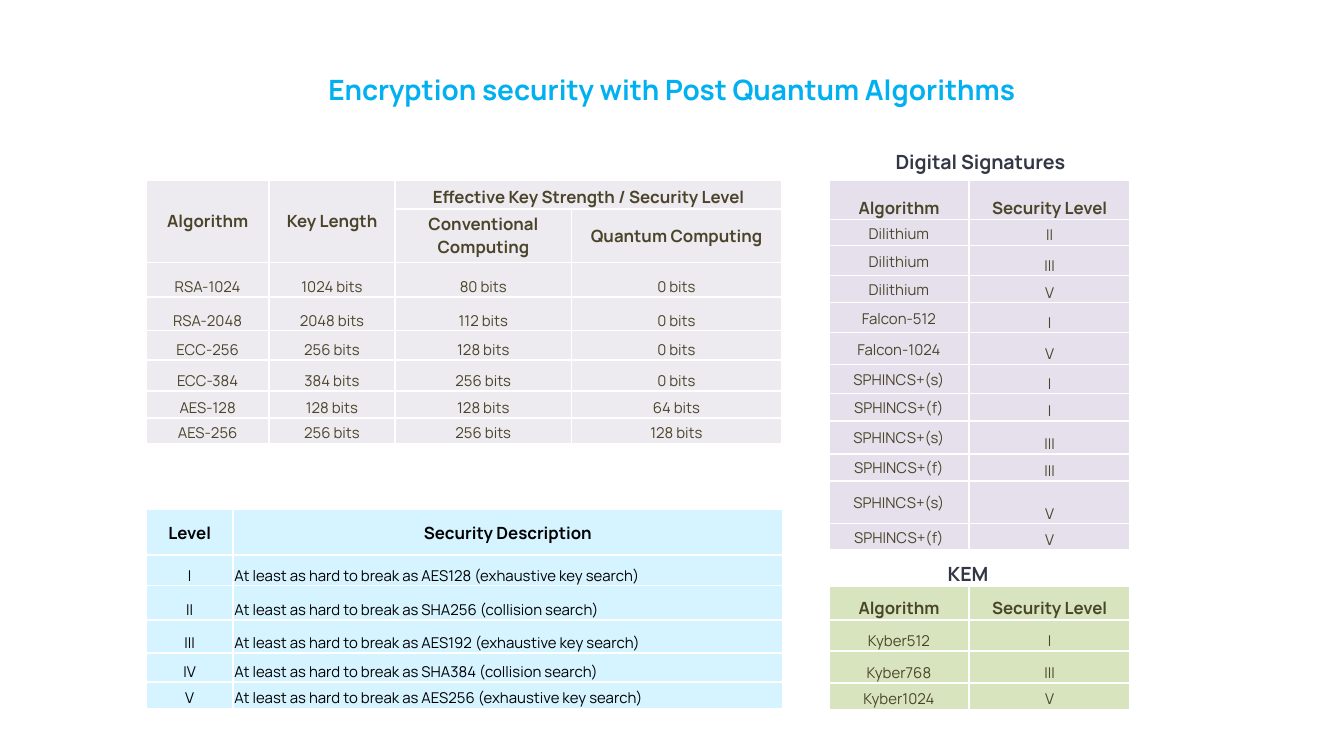
from dataclasses import dataclass

import pptx
import pptx.dml.color
import pptx.enum.text
import pptx.oxml
import pptx.oxml.ns
import pptx.util
from lxml import etree

Cm, Pt = pptx.util.Cm, pptx.util.Pt
PP_ALIGN = pptx.enum.text.PP_ALIGN
MSO_ANCHOR = pptx.enum.text.MSO_ANCHOR
qn = pptx.oxml.ns.qn

FONT = "Manrope"
ALIGN = {"c": PP_ALIGN.CENTER, "l": PP_ALIGN.LEFT}
ANCHOR = {"m": MSO_ANCHOR.MIDDLE, "b": MSO_ANCHOR.BOTTOM}
LEFT_X, RIGHT_X = 2.77, 15.67


@dataclass
class TableSpec:
    """Lengths are in cm; anchors and aligns hold one letter per column."""
    left: float
    top: float
    cols: list[float]
    row_heights: list[float]
    rows: list[list[str]]
    fill: str
    color: str
    head_anchors: list[str]
    body_anchors: str
    aligns: str
    margins: dict[str, float]
    merges: tuple = ()


@dataclass
class Caption:
    text: str
    left: float
    top: float
    width: float


def rgb(value: str) -> pptx.dml.color.RGBColor:
    return pptx.dml.color.RGBColor.from_string(value)


def write(tf, text: str, size: float, color: str, bold: bool, align: str):
    p = tf.paragraphs[0]
    p.text = text
    p.alignment = ALIGN[align]
    for r in p.runs:
        for name, value in {"name": FONT, "size": Pt(size), "bold": bold}.items():
            setattr(r.font, name, value)
        r.font.color.rgb = rgb(color)
    for br in p._p.findall(qn("a:br")):
        etree.SubElement(br, qn("a:rPr"), sz=str(int(size * 100)))
    return p


def add_borders(cell) -> None:
    """Draw a white 1 pt line on all four sides."""
    tc_pr = cell._tc.get_or_add_tcPr()
    for side in ("lnL", "lnR", "lnT", "lnB"):
        ln = etree.SubElement(tc_pr, qn(f"a:{side}"), w=str(Pt(1)))
        solid = etree.SubElement(ln, qn("a:solidFill"))
        etree.SubElement(solid, qn("a:srgbClr"), val="FFFFFF")


def draw_table(s, spec: TableSpec) -> None:
    table = s.shapes.add_table(
        len(spec.rows), len(spec.cols), Cm(spec.left), Cm(spec.top),
        Cm(sum(spec.cols)), Cm(sum(spec.row_heights))).table
    table.first_row = table.horz_banding = False
    for col, width in zip(table.columns, spec.cols):
        col.width = Cm(width)
    for row, height in zip(table.rows, spec.row_heights):
        row.height = Cm(height)

    for i, row in enumerate(spec.rows):
        head = i < len(spec.head_anchors)
        anchors = spec.head_anchors[i] if head else spec.body_anchors
        for j, text in enumerate(row):
            cell = table.cell(i, j)
            for side, value in spec.margins.items():
                setattr(cell, f"margin_{side}", Cm(value))
            cell.vertical_anchor = ANCHOR[anchors[j]]
            add_borders(cell)
            cell.fill.solid()
            cell.fill.fore_color.rgb = rgb(spec.fill)
            write(cell.text_frame, text, 9 if head else 8, spec.color, head,
                  "c" if head else spec.aligns[j])
    for first, last in spec.merges:
        table.cell(*first).merge(table.cell(*last))


def draw_caption(s, caption: Caption) -> None:
    sp = s.shapes.add_textbox(Cm(caption.left), Cm(caption.top),
                              Cm(caption.width), Cm(0.53))
    tf = sp.text_frame
    tf.word_wrap = True
    for side in ("left", "top", "right", "bottom"):
        setattr(tf, f"margin_{side}", 0)
    p = write(tf, caption.text, 10.5, "333644", True, "c")
    p.line_spacing = 1.2


THIN = {"left": 0.03, "top": 0.03, "right": 0.03, "bottom": 0}
SIDES = {"left": 0.05, "top": 0, "right": 0.05, "bottom": 0}
LEVEL_HEAD = ["Algorithm", "Security Level"]
LEVEL_COLS = [2.64, 3.05]

TABLES = [
    TableSpec(
        LEFT_X, 9.63, [1.63, 10.39], [0.86, 0.58, 0.65, 0.62, 0.55, 0.5],
        [["Level", "Security Description"]]
        + [[level, f"At least as hard to break as {target} search)"]
           for level, target in [("I", "AES128 (exhaustive key"),
                                 ("II", "SHA256 (collision"),
                                 ("III", "AES192 (exhaustive key"),
                                 ("IV", "SHA384 (collision"),
                                 ("V", "AES256 (exhaustive key")]],
        "D5F4FF", "000000", ["mm"], "bb", "cl", THIN),
    TableSpec(
        RIGHT_X, 11.08, LEVEL_COLS, [0.64, 0.58, 0.61, 0.5],
        [LEVEL_HEAD, ["Kyber512", "I"], ["Kyber768", "III"], ["Kyber1024", "V"]],
        "D7E4BD", "4A452A", ["bb"], "bb", "cc", THIN),
    TableSpec(
        RIGHT_X, 3.4, LEVEL_COLS,
        [0.75, 0.49, 0.57, 0.51, 0.57, 0.6, 0.55, 0.52, 0.62, 0.51, 0.81, 0.5],
        [LEVEL_HEAD]
        + [["Dilithium", level] for level in ("II", "III", "V")]
        + [["Falcon-512", "I"], ["Falcon-1024", "V"]]
        + [[f"SPHINCS+({kind})", level]
           for level in ("I", "III", "V") for kind in "sf"],
        "E6E0EC", "4A452A", ["bb"], "mb", "cc", THIN),
    TableSpec(
        LEFT_X, 3.4, [2.31, 2.39, 3.33, 3.97],
        [0.55, 1.01, 0.65, 0.64, 0.56, 0.58, 0.51, 0.48],
        [["Algorithm", "Key Length", "Effective Key Strength / Security Level", ""],
         ["", "", "Conventional\vComputing", "Quantum Computing"]]
        + [[f"{family}-{size}"] + [f"{n} bits" for n in (size, now, quantum)]
           for family, size, now, quantum in [
               ("RSA", 1024, 80, 0), ("RSA", 2048, 112, 0),
               ("ECC", 256, 128, 0), ("ECC", 384, 256, 0),
               ("AES", 128, 128, 64), ("AES", 256, 256, 128)]],
        "EDEAF0", "4A452A", ["mmbb", "mmmm"], "bbbb", "cccc", SIDES,
        (((0, 0), (1, 0)), ((0, 1), (1, 1)), ((0, 2), (0, 3)))),
]

CAPTIONS = [
    Caption("KEM", 17.04, 10.54, 2.51),
    Caption("Digital Signatures", 16.64, 2.74, 3.78),
]


def main() -> None:
    prs = pptx.Presentation()
    prs.slide_width, prs.slide_height = Cm(25.4), Cm(14.29)
    s = prs.slides.add_slide(prs.slide_layouts[5])

    title = s.shapes.title
    box = {"left": 5.36, "top": 0.89, "width": 14.68, "height": 1.6}
    for name, value in box.items():
        setattr(title, name, Cm(value))
    title.text_frame.vertical_anchor = MSO_ANCHOR.MIDDLE
    write(title.text_frame, "Encryption security with Post Quantum Algorithms",
          15, "00B0F0", True, "c")

    for spec in TABLES:
        draw_table(s, spec)
    for caption in CAPTIONS:
        draw_caption(s, caption)
    prs.save("out.pptx")


if __name__ == "__main__":
    main()
